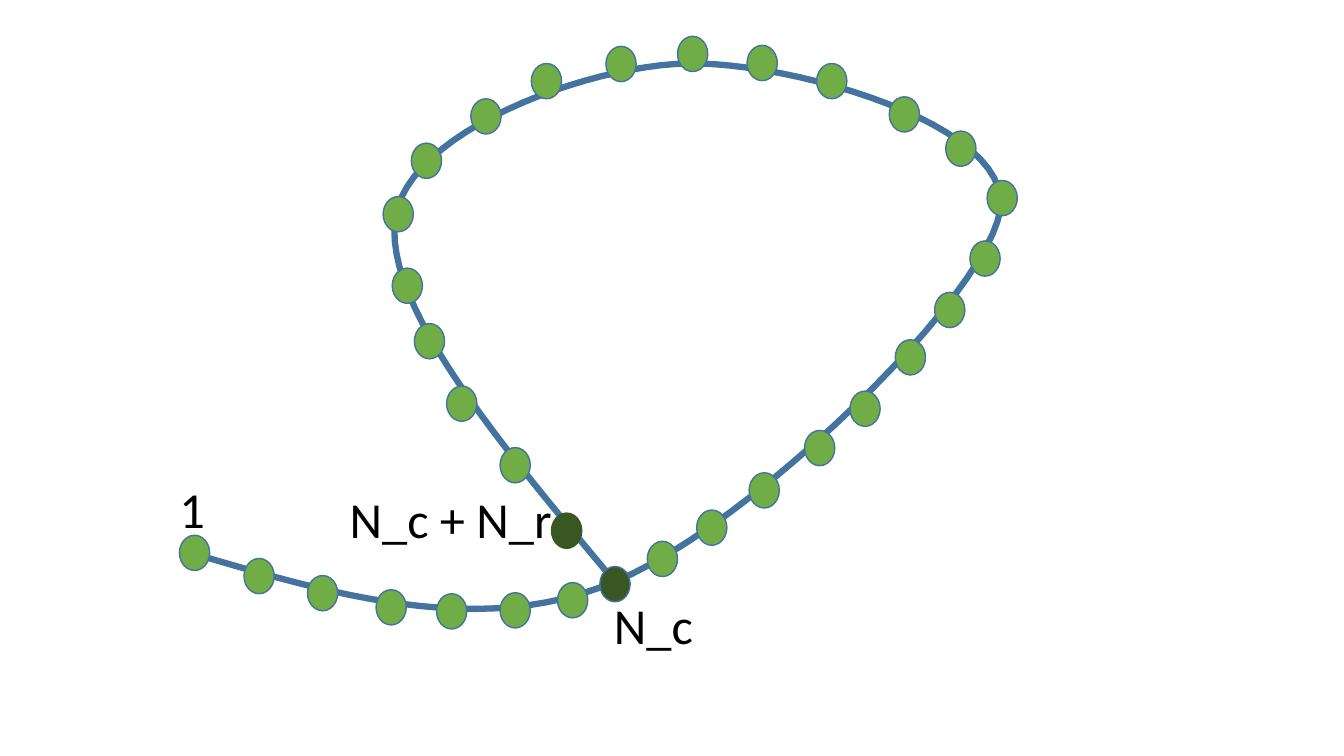
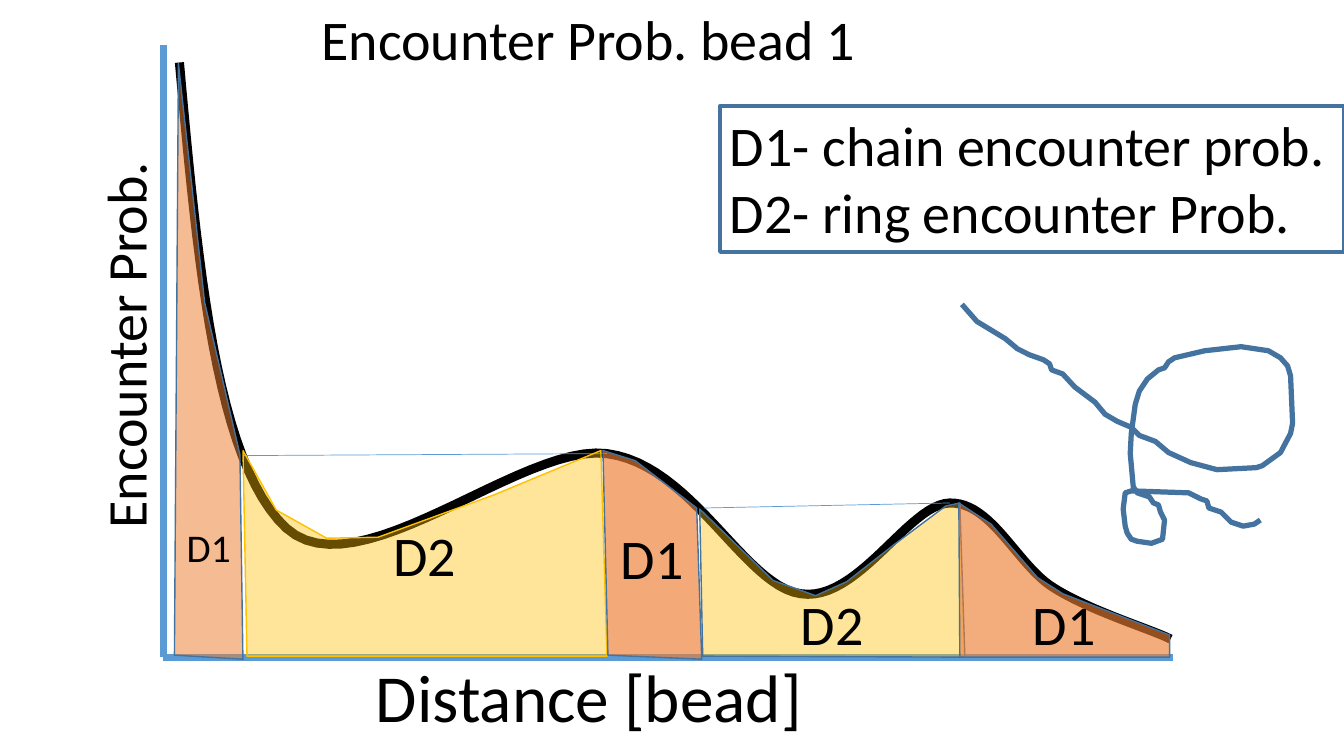
from dataclasses import dataclass

from lxml import etree
from pptx import Presentation
from pptx import util as u
from pptx.dml.color import RGBColor
from pptx.enum import shapes, text
from pptx.oxml.ns import qn

COLOURS = {
    "black": "000000",
    "outline": "43739E",
    "axis": "5B9BD5",
    "bead": "70AD47",
    "junction": "385723",
    "chain": "ED7D31",
    "ring": "FFC000",
}
FONT = "Calibri"
BEAD_SIZE = (0.3, 0.35)
CURVE_STEPS = 24

Point = tuple[float, float]


@dataclass(frozen=True)
class Label:
    words: str
    left: float
    top: float
    width: float
    height: float
    size: int
    rotation: int = 0


@dataclass(frozen=True)
class Line:
    start: Point
    end: Point
    width: float


@dataclass(frozen=True)
class Region:
    words: str
    size: int
    lift: float  # inches between the words and the region's lower edge
    fill: str
    opacity: int
    line: str
    outline: list[Point]


# Bezier points: a start, then two handles and an end for each piece.
POLYMER = [
    (1.84, 5.47), (3.3, 5.9), (4.76, 6.34), (6.1, 5.77),
    (7.45, 5.21), (9.8, 2.93), (9.92, 2.08),
    (10.04, 1.22), (7.82, 0.61), (6.82, 0.63),
    (5.82, 0.65), (4.03, 1.31), (3.92, 2.17),
    (3.8, 3.04), (4.97, 4.42), (6.13, 5.81),
]
PROBABILITY = [
    (1.78, 0.62), (1.96, 2.61), (2.14, 4.59), (2.84, 5.24),
    (3.55, 5.88), (5.17, 4.39), (6.02, 4.5),
    (6.87, 4.61), (7.38, 5.81), (7.94, 5.89),
    (8.51, 5.98), (9.01, 5), (9.42, 4.99),
    (9.84, 4.98), (10.09, 5.61), (10.45, 5.83),
    (10.81, 6.06), (11.44, 6.25), (11.61, 6.34),
]

# Top left corners of the beads, in order along the polymer.
BEADS = [
    (1.78, 5.31), (2.42, 5.54), (3.05, 5.71), (3.73, 5.85), (4.33, 5.89),
    (4.96, 5.88), (5.53, 5.78), (5.95, 5.62), (6.42, 5.37), (6.91, 5.06),
    (7.43, 4.69), (7.98, 4.27), (8.43, 3.88), (8.88, 3.37), (9.27, 2.9),
    (9.62, 2.39), (9.79, 1.79), (9.38, 1.3), (8.82, 0.96), (8.1, 0.63),
    (7.41, 0.45), (6.72, 0.36), (6.01, 0.46), (5.27, 0.63), (4.67, 0.98),
    (4.08, 1.42), (3.8, 1.95), (3.89, 2.66), (4.11, 3.21), (4.43, 3.83),
    (4.96, 4.44), (5.47, 5.09),
]
RING_START = 7
RING_END = len(BEADS) - 1

BEAD_LABELS = [
    Label("1", 1.68, 4.69, 0.3, 0.71, 36),
    Label("N_c", 5.99, 5.84, 1.11, 0.71, 36),
    Label("N_c + N_r", 3.37, 4.79, 2.3, 0.71, 36),
]

AXES = [
    Line((1.62, 0.45), (1.62, 6.52), 5),
    Line((1.62, 6.52), (11.63, 6.52), 5),
]
RING_LEVELS = [
    Line((6.02, 4.5), (2.41, 4.52), 0.5),
    Line((9.42, 4.99), (6.98, 5.04), 0.5),
]

REGIONS = [
    Region("D2", 40, 0.68, "ring", 40, "ring", [
        (2.41, 4.47), (2.45, 6.51), (6.02, 6.51), (5.96, 4.47), (4.9, 4.91),
        (3.75, 5.33), (3.24, 5.34), (2.74, 5.06)]),
    Region("D1", 40, 0.68, "chain", 65, "outline", [
        (5.98, 4.47), (6.3, 4.57), (6.91, 5.04), (6.96, 6.54), (6.03, 6.5)]),
    Region("D2", 40, 0, "ring", 40, "outline", [
        (6.94, 5.05), (6.97, 6.51), (9.57, 6.52), (9.52, 4.99), (9.38, 5.02),
        (8.86, 5.41), (8.4, 5.77), (8.09, 5.91), (7.67, 5.76)]),
    Region("D1", 40, 0, "chain", 63, "outline", [
        (9.51, 4.99), (9.52, 6.52), (11.6, 6.52), (11.6, 6.3), (10.54, 5.89),
        (10.29, 5.73), (9.83, 5.2)]),
    Region("D1", 28, 0.88, "chain", 52, "outline", [
        (1.77, 0.63), (2.03, 3), (2.38, 4.51), (2.41, 6.54), (1.73, 6.5)]),
]

LOOP_SKETCH = [
    (9.54, 3.02), (9.69, 3.19), (9.97, 3.36), (10.09, 3.46), (10.21, 3.52),
    (10.35, 3.57), (10.41, 3.61), (10.43, 3.67), (10.54, 3.71), (10.66, 3.84),
    (10.86, 3.99), (10.96, 4.11), (11.08, 4.18), (11.22, 4.24), (11.3, 4.32),
    (11.46, 4.38), (11.59, 4.49), (11.81, 4.59), (12.07, 4.66), (12.46, 4.64),
    (12.52, 4.62), (12.7, 4.49), (12.8, 4.3), (12.82, 4.2), (12.8, 3.73),
    (12.77, 3.63), (12.7, 3.55), (12.58, 3.48), (12.31, 3.44), (11.95, 3.48),
    (11.65, 3.55), (11.59, 3.59), (11.55, 3.65), (11.49, 3.67), (11.38, 3.76),
    (11.3, 3.88), (11.26, 4.01), (11.22, 4.3), (11.21, 4.5), (11.24, 4.83),
    (11.28, 4.89), (11.4, 4.93), (11.44, 4.99), (11.49, 5.01), (11.51, 5.08),
    (11.55, 5.16), (11.53, 5.35), (11.42, 5.39), (11.28, 5.37), (11.22, 5.35),
    (11.18, 5.29), (11.16, 5.22), (11.14, 5.05), (11.16, 4.89), (11.22, 4.87),
    (11.79, 4.89), (11.91, 4.95), (11.97, 4.97), (11.99, 5.04), (12.11, 5.08),
    (12.21, 5.18), (12.33, 5.22), (12.44, 5.2), (12.5, 5.16),
]

GRAPH_LABELS = [
    Label("Encounter Prob.", -1.13, 2.59, 4.73, 0.77, 40, rotation=270),
    Label("Distance [bead]", 3.63, 6.45, 7.09, 0.91, 48),
    Label("Encounter Prob. bead 1", 3.09, 0, 5.78, 0.77, 40),
]
LEGEND = Label("D1- chain encounter prob.\nD2- ring encounter Prob.",
               7.14, 1.05, 6.19, 1.45, 40)


def colour(name: str) -> RGBColor:
    return RGBColor.from_string(COLOURS[name])


def set_line(shape, name: str, width: float) -> None:
    shape.line.color.rgb = colour(name)
    shape.line.width = u.Pt(width)


def set_fill(shape, name: str, opacity: int = 100) -> None:
    shape.fill.solid()
    shape.fill.fore_color.rgb = colour(name)
    if opacity < 100:
        tint = shape.fill._xPr.find(qn("a:solidFill"))[0]
        etree.SubElement(tint, qn("a:alpha"), val=str(opacity * 1000))


def write(shape, words: str, size: int, align=text.PP_ALIGN.LEFT,
          anchor=text.MSO_ANCHOR.TOP) -> None:
    frame = shape.text_frame
    frame.text = words
    frame.word_wrap = True
    frame.vertical_anchor = anchor
    for paragraph in frame.paragraphs:
        paragraph.alignment = align
        paragraph.font.name = FONT
        paragraph.font.size = u.Pt(size)
        paragraph.font.color.rgb = colour("black")


def smooth(points: list[Point]) -> list[Point]:
    """Sample a chain of cubic Bezier pieces."""
    samples = [points[0]]
    for first in range(0, len(points) - 1, 3):
        piece = points[first:first + 4]
        for step in range(1, CURVE_STEPS + 1):
            t = step / CURVE_STEPS
            weights = ((1 - t) ** 3, 3 * t * (1 - t) ** 2,
                       3 * t ** 2 * (1 - t), t ** 3)
            samples.append((sum(w * x for w, (x, _) in zip(weights, piece)),
                            sum(w * y for w, (_, y) in zip(weights, piece))))
    return samples


def add_outline(slide, points: list[Point], line: str, width: float,
                close: bool = False):
    """Draw an unfilled freeform through the points."""
    start, *rest = [(u.Inches(x), u.Inches(y)) for x, y in points]
    builder = slide.shapes.build_freeform(*start)
    builder.add_line_segments(rest, close=close)
    shape = builder.convert_to_shape()
    shape.shadow.inherit = False
    shape.fill.background()
    set_line(shape, line, width)
    return shape


def add_line(slide, line: Line) -> None:
    connector = slide.shapes.add_connector(
        shapes.MSO_CONNECTOR.STRAIGHT,
        *(u.Inches(value) for value in line.start + line.end))
    set_line(connector, "axis", line.width)
    etree.SubElement(connector._element.spPr, qn("a:effectLst"))


def add_bead(slide, corner: Point, fill: str, line: str) -> None:
    bead = slide.shapes.add_shape(
        shapes.MSO_SHAPE.OVAL,
        *(u.Inches(value) for value in corner + BEAD_SIZE))
    bead.shadow.inherit = False
    set_fill(bead, fill)
    set_line(bead, line, 1)


def label_box(label: Label) -> list[u.Inches]:
    return [u.Inches(value) for value in
            (label.left, label.top, label.width, label.height)]


def add_label(slide, label: Label) -> None:
    box = slide.shapes.add_textbox(*label_box(label))
    box.rotation = label.rotation
    write(box, label.words, label.size)


def add_region(slide, region: Region) -> None:
    shape = add_outline(slide, region.outline, region.line, 1, close=True)
    set_fill(shape, region.fill, region.opacity)
    write(shape, region.words, region.size, text.PP_ALIGN.CENTER,
          text.MSO_ANCHOR.BOTTOM)
    shape.text_frame.margin_bottom = u.Inches(region.lift)


def add_legend(slide, legend: Label) -> None:
    box = slide.shapes.add_shape(shapes.MSO_SHAPE.RECTANGLE,
                                 *label_box(legend))
    box.shadow.inherit = False
    box.fill.background()
    set_line(box, "outline", 2.5)
    write(box, legend.words, legend.size)


def build_polymer_slide(slide) -> None:
    add_outline(slide, smooth(POLYMER), "outline", 4.5)
    for index, corner in enumerate(BEADS):
        fill = "junction" if index in (RING_START, RING_END) else "bead"
        line = "junction" if index == RING_END else "outline"
        add_bead(slide, corner, fill, line)
    for label in BEAD_LABELS:
        add_label(slide, label)


def build_probability_slide(slide) -> None:
    for axis in AXES:
        add_line(slide, axis)
    add_outline(slide, smooth(PROBABILITY), "black", 6.5)
    for level in RING_LEVELS:
        add_line(slide, level)
    add_outline(slide, LOOP_SKETCH, "outline", 3.75)
    for region in REGIONS:
        add_region(slide, region)
    for label in GRAPH_LABELS:
        add_label(slide, label)
    add_legend(slide, LEGEND)


def main() -> None:
    presentation = Presentation()
    presentation.slide_width = u.Inches(13.33)
    presentation.slide_height = u.Inches(7.5)
    blank = presentation.slide_layouts[6]
    for build in (build_polymer_slide, build_probability_slide):
        build(presentation.slides.add_slide(blank))
    presentation.save("out.pptx")


if __name__ == "__main__":
    main()
